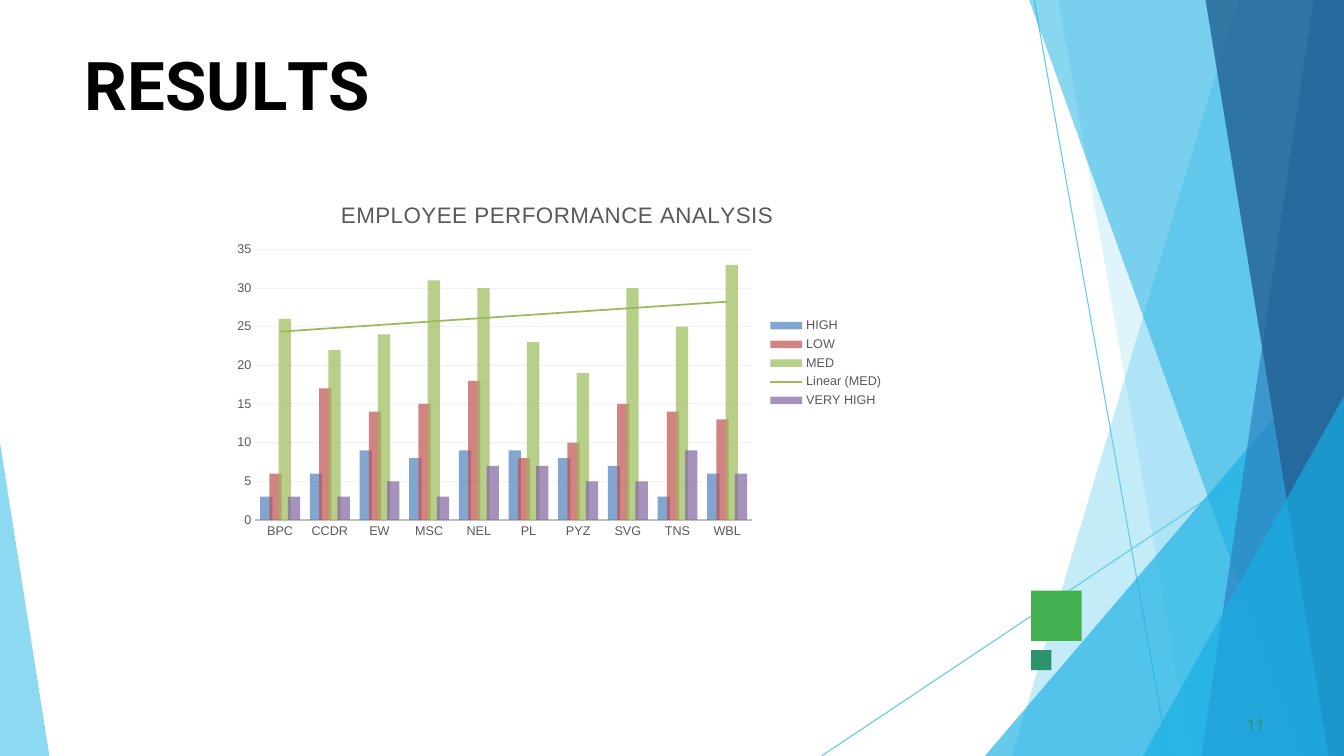
from dataclasses import dataclass
from lxml import etree
from pptx import Presentation, util as u
from pptx.chart.data import CategoryChartData
from pptx.dml.color import RGBColor
from pptx.enum import chart as charts, shapes, text
from pptx.oxml import parse_xml
from pptx.oxml.ns import nsdecls, qn


@dataclass(frozen=True)
class Theme:
    sky: str = "5FCAEE"
    cyan: str = "17AFE3"
    blue: str = "2D83C3"
    navy: str = "226192"
    green: str = "42AF51"
    teal: str = "2D936B"
    black: str = "000000"
    grey: str = "595959"
    axis: str = "BFBFBF"
    grid: str = "F2F2F2"
    bars: tuple = ("4F81BD", "C0504D", "9BBB59", "8064A2")
    heading_font: str = "Roboto"
    chart_font: str = "Arial"
    heading: float = 48
    chart_title: float = 16
    number: float = 11
    label: float = 9


THEME = Theme()
WIDTH, HEIGHT = u.Inches(13.333), u.Inches(7.5)

# Facets: top corner x, top y, bottom corner x, outer edge x (% of slide), colour, opacity %
FACETS = (
    (92.1, 0, 75.3, 100, THEME.sky, 37),
    (78.75, 0, 88.65, 100, THEME.sky, 20),
    (100, 44.4, 73.28, 100, THEME.cyan, 66),
    (76.58, 0, 96.83, 100, THEME.cyan, 51),
    (97.73, 0, 89.4, 100, THEME.blue, 71),
    (89.7, 0, 98.85, 100, THEME.navy, 80),
    (100, 52.4, 85.05, 100, THEME.cyan, 66),
    (0, 58.53, 3.68, 0, THEME.sky, 71),
)
RAYS = ((76.95, 0, 86.93, 100), (100, 53.87, 61.13, 100))
SQUARES = ((78.13, 3.75, THEME.green), (86, 1.5, THEME.teal))
HEADING = (("R", 0), ("E", -0.4), ("S", 0.1), ("U", -0.3), ("L", -4.1), ("TS", 0))

UNITS = ("BPC", "CCDR", "EW", "MSC", "NEL", "PL", "PYZ", "SVG", "TNS", "WBL")
RATINGS = {
    "HIGH": (3, 6, 9, 8, 9, 9, 8, 7, 3, 6),
    "LOW": (6, 17, 14, 15, 18, 8, 10, 15, 14, 13),
    "MED": (26, 22, 24, 31, 30, 23, 19, 30, 25, 33),
    "VERY HIGH": (3, 3, 5, 3, 7, 7, 5, 5, 9, 6),
}


def across(share):
    return round(WIDTH * share / 100)


def down(share):
    return round(HEIGHT * share / 100)


def place(box):
    left, top, width, height = box
    return across(left), down(top), across(width), down(height)


def set_opacity(element, percent):
    colour = element.find(f".//{qn('a:solidFill')}/{qn('a:srgbClr')}")
    etree.SubElement(colour, qn("a:alpha")).set("val", str(percent * 1000))


def paint(shape, colour):
    shape.shadow.inherit = False
    shape.fill.solid()
    shape.fill.fore_color.rgb = RGBColor.from_string(colour)
    shape.line.fill.background()


def style_font(font, size, colour, name, bold=False):
    font.size, font.name, font.bold = u.Pt(size), name, bold
    font.color.rgb = RGBColor.from_string(colour)


def style_line(line, colour, width):
    line.color.rgb = RGBColor.from_string(colour)
    line.width = u.Pt(width)


def draw_backdrop(page):
    for x1, y1, x2, y2 in RAYS:
        ray = page.shapes.add_connector(
            shapes.MSO_CONNECTOR.STRAIGHT, across(x1), down(y1), across(x2), down(y2))
        style_line(ray.line, THEME.sky, 0.75)
        etree.SubElement(ray.element.spPr, qn("a:effectLst"))
    for x_top, y_top, x_bottom, edge, colour, opacity in FACETS:
        corners = dict.fromkeys([(x_top, y_top), (edge, y_top), (edge, 100), (x_bottom, 100)])
        start, *others = [(across(x), down(y)) for x, y in corners]
        outline = page.shapes.build_freeform(*start)
        outline.add_line_segments(others, close=True)
        facet = outline.convert_to_shape()
        paint(facet, colour)
        set_opacity(facet.element, opacity)


def draw_squares(page, left):
    for top, side, colour in SQUARES:
        square = page.shapes.add_shape(
            shapes.MSO_SHAPE.RECTANGLE, across(left), down(top), across(side), across(side))
        paint(square, colour)


def write_text(page, box, pieces, size, colour, bold=False, indent=0.0, before=0.0):
    """Write (text, letter spacing in points) pieces as one paragraph."""
    frame = page.shapes.add_textbox(*place(box)).text_frame
    frame.word_wrap = True
    frame.auto_size = text.MSO_AUTO_SIZE.SHAPE_TO_FIT_TEXT
    frame.margin_left = frame.margin_right = frame.margin_bottom = 0
    frame.margin_top = u.Inches(0.01)
    para = frame.paragraphs[0]
    para.space_before = u.Pt(before)
    para._p.get_or_add_pPr().set("marL", str(u.Inches(indent)))
    for words, spacing in pieces:
        span = para.add_run()
        span.text = words
        style_font(span.font, size, colour, THEME.heading_font, bold)
        span.font._element.set("spc", str(round(spacing * 100)))


def chart_layout(x, y, w, h, target=""):
    inner = f'<c:layoutTarget val="{target}"/>' if target else ""
    return parse_xml(
        f'<c:layout {nsdecls("c")}><c:manualLayout>{inner}'
        '<c:xMode val="edge"/><c:yMode val="edge"/>'
        f'<c:x val="{x}"/><c:y val="{y}"/><c:w val="{w}"/><c:h val="{h}"/>'
        '</c:manualLayout></c:layout>')


def add_trend(series, colour):
    series._element.find(qn("c:cat")).addprevious(parse_xml(
        f'<c:trendline {nsdecls("c", "a")}><c:spPr><a:ln w="{u.Pt(1.25)}"><a:solidFill>'
        f'<a:srgbClr val="{colour}"/></a:solidFill></a:ln></c:spPr>'
        '<c:trendlineType val="linear"/><c:dispRSqr val="0"/><c:dispEq val="0"/></c:trendline>'))


def style_axes(chart):
    for axis in (chart.category_axis, chart.value_axis):
        axis.major_tick_mark = axis.minor_tick_mark = charts.XL_TICK_MARK.NONE
        style_font(axis.tick_labels.font, THEME.label, THEME.grey, THEME.chart_font)
    style_line(chart.category_axis.format.line, THEME.axis, 1.25)
    values = chart.value_axis
    values.minimum_scale, values.maximum_scale, values.major_unit = 0, 35, 5
    values.format.line.fill.background()
    style_line(values.major_gridlines.format.line, THEME.grid, 0.75)


def draw_chart(page, box):
    data = CategoryChartData()
    data.categories = UNITS
    for rating, counts in RATINGS.items():
        data.add_series(rating, counts)
    chart = page.shapes.add_chart(
        charts.XL_CHART_TYPE.COLUMN_CLUSTERED, *place(box), data).chart
    style_font(chart.font, 10, THEME.black, THEME.chart_font)

    chart.has_title = True
    span = chart.chart_title.text_frame.paragraphs[0].add_run()
    span.text = "EMPLOYEE PERFORMANCE ANALYSIS"
    style_font(span.font, THEME.chart_title, THEME.grey, THEME.chart_font)
    span.font._element.set("spc", "50")
    chart.chart_title.include_in_layout = False

    plot = chart.plots[0]
    plot.gap_width, plot.overlap, plot.vary_by_categories = 80, 25, False
    for series, colour in zip(plot.series, THEME.bars):
        series.format.fill.solid()
        series.format.fill.fore_color.rgb = RGBColor.from_string(colour)
        set_opacity(series._element, 70)
        if series.name == "MED":
            add_trend(series, colour)
    style_axes(chart)

    area = chart._chartSpace.chart.plotArea
    for layout in area.findall(qn("c:layout")):
        area.remove(layout)
    area.insert(0, chart_layout(0.05, 0.18, 0.74, 0.75, "inner"))

    chart.has_legend = True
    legend = chart.legend
    legend.position = charts.XL_LEGEND_POSITION.RIGHT
    legend.include_in_layout = False
    style_font(legend.font, THEME.label, THEME.grey, THEME.chart_font)
    for layout in legend._element.findall(qn("c:layout")):
        legend._element.remove(layout)
    legend._element.find(qn("c:legendPos")).addnext(chart_layout(0.81, 0.36, 0.18, 0.27))


def build_results_slide(deck):
    page = deck.slides.add_slide(deck.slide_layouts[6])
    draw_backdrop(page)
    draw_squares(page, left=76.73)
    write_text(page, (6.23, 5.6, 23.3, 10.8), HEADING, THEME.heading, THEME.black,
               bold=True, indent=0.01, before=1.1)
    write_text(page, (92.48, 94.4, 1.88, 2.53), [("11", 0.1)], THEME.number, THEME.teal,
               indent=0.04, before=0.5)
    draw_chart(page, (16.5, 24.4, 49.95, 47.73))


def main():
    deck = Presentation()
    deck.slide_width, deck.slide_height = WIDTH, HEIGHT
    build_results_slide(deck)
    deck.save("out.pptx")


if __name__ == "__main__":
    main()
